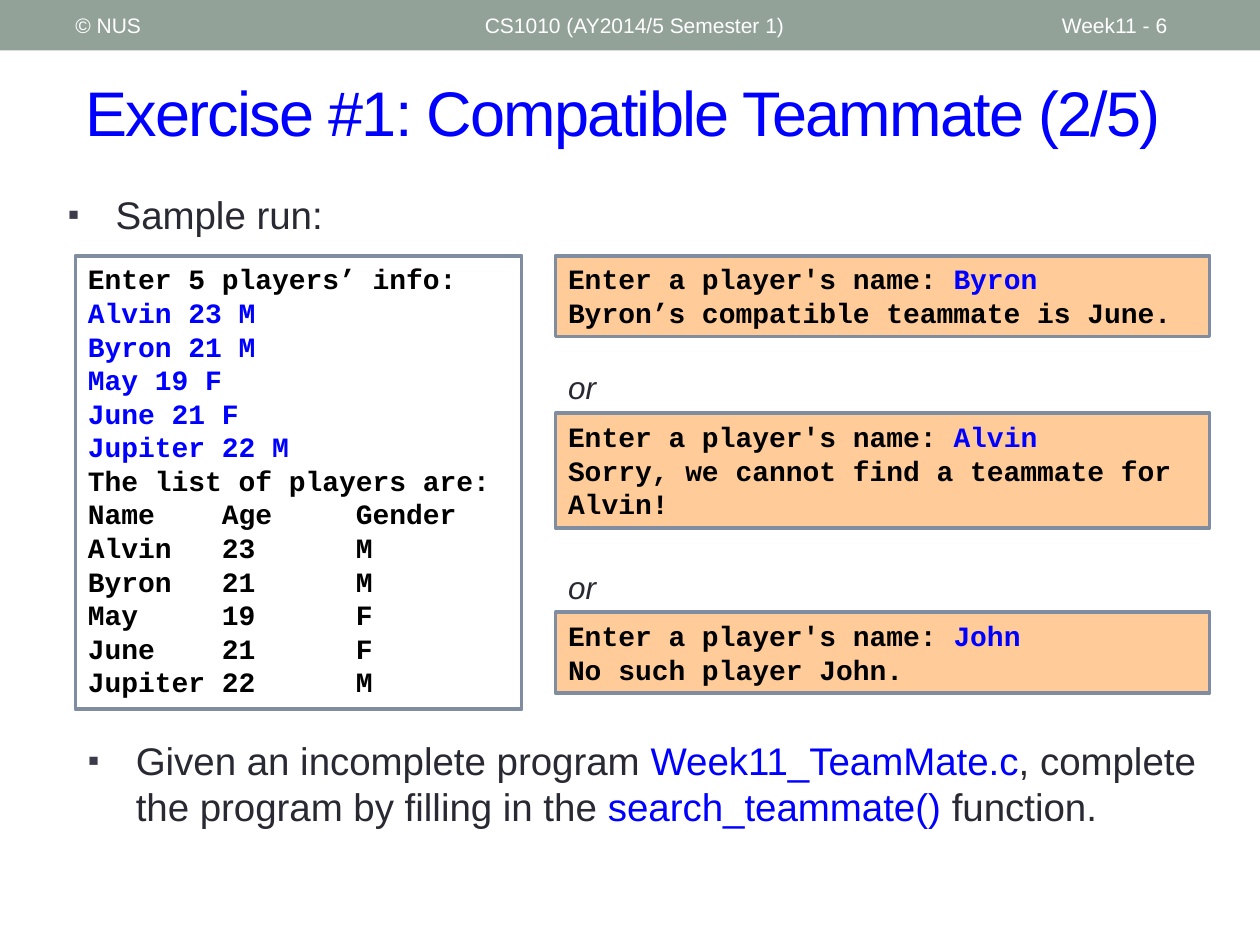
from lxml.etree import SubElement
from pptx import Presentation
from pptx.dml.color import RGBColor
from pptx.enum.shapes import MSO_SHAPE as Kind
from pptx.enum.text import MSO_ANCHOR as Anchor, MSO_AUTO_SIZE as Fit
from pptx.oxml.ns import qn
from pptx.util import Inches, Pt

INK, BLUE, BLACK, WHITE = "292934", "0000FF", "000000", "FFFFFF"
PEACH, EDGE, SAGE, SLATE = "FFCC99", "808DA0", "93A299", "3B3B4B"


def tint(code):
    return RGBColor.from_string(code)


class Deck:
    """Holds the style and the current slide, and draws each kind of element."""

    sans, mono = "Arial", "Courier New"

    def __init__(self):
        self.prs = Presentation()
        self.prs.slide_width, self.prs.slide_height = Inches(10), Inches(7.5)
        self.slide = self.prs.slides.add_slide(self.prs.slide_layouts[6])

    def bar(self, high, fill):
        shape = self.slide.shapes.add_shape(
            Kind.RECTANGLE, 0, 0, self.prs.slide_width, Inches(high))
        shape.shadow.inherit = False
        shape.fill.solid()
        shape.fill.fore_color.rgb = tint(fill)
        shape.line.fill.background()

    def text(self, at, lines, size, font=sans, bold=False, slant=False):
        box = self.slide.shapes.add_textbox(*map(Inches, at))
        frame = box.text_frame
        frame.word_wrap = True
        for i, runs in enumerate(lines):
            para = frame.add_paragraph() if i else frame.paragraphs[0]
            for words, hue in runs:
                run = para.add_run()
                run.text = words
                run.font.color.rgb = tint(hue)
            face = para.font
            face.name, face.size = font, Pt(size)
            face.bold, face.italic = bold, slant
        return box

    def label(self, at, words, size, hue):
        box = self.text(at, [[(words, hue)]], size)
        box.text_frame.vertical_anchor = Anchor.MIDDLE
        return box

    def title(self, at, words):
        box = self.label(at, words, 36, BLUE)
        run = box.text_frame.paragraphs[0].runs[0]
        run.font._element.set("spc", "-100")

    def bullet(self, at, runs):
        box = self.text(at, [runs], 22)
        props = box.text_frame.paragraphs[0]._p.get_or_add_pPr()
        props.set("marL", str(Inches(0.38)))
        props.set("indent", str(Inches(-0.38)))
        marks = [("buClr", {}), ("buSzPct", {"val": "85000"}),
                 ("buFont", {"typeface": self.sans}), ("buChar", {"char": "▪"})]
        for i, (tag, attrs) in enumerate(marks):
            mark = SubElement(props, qn("a:" + tag), attrs)
            props.insert(i, mark)
            if tag == "buClr":
                SubElement(mark, qn("a:srgbClr"), val=SLATE)

    def screen(self, at, lines, fill):
        box = self.text(at, lines, 16, self.mono, bold=True)
        box.text_frame.auto_size = Fit.SHAPE_TO_FIT_TEXT
        box.fill.solid()
        box.fill.fore_color.rgb = tint(fill)
        box.line.color.rgb = tint(EDGE)
        box.line.width = Pt(2.08)


def main():
    deck = Deck()
    deck.bar(0.4, SAGE)
    deck.title((0.58, 0.42, 9.17, 0.92), "Exercise #1: Compatible Teammate (2/5)")
    for left, wide, words in [(3.75, 4.5, "CS1010 (AY2014/5 Semester 1)"),
                              (8.33, 1.17, "Week11 - 6"),
                              (0.5, 3.17, "© NUS")]:
        deck.label((left, 0.02, wide, 0.36), words, 12, WHITE)

    deck.bullet((0.44, 1.47, 9, 0.56), [("Sample run:", INK)])
    deck.bullet((0.6, 5.8, 9, 1.21), [
        ("Given an incomplete program ", INK),
        ("Week11_TeamMate.c", BLUE),
        (", complete the program by filling in the ", INK),
        ("search_teammate() ", BLUE),
        ("function.", INK)])

    team = [("Alvin", 23, "M"), ("Byron", 21, "M"), ("May", 19, "F"),
            ("June", 21, "F"), ("Jupiter", 22, "M")]
    typed = [[(f"{name} {age} {sex}", BLUE)] for name, age, sex in team]
    table = [[(f"{name:<8}{age:<8}{sex}", BLACK)]
             for name, age, sex in [("Name", "Age", "Gender")] + team]
    deck.screen((0.6, 2.03, 3.54, 3.6), [
        [("Enter 5 players’ info:", BLACK)], *typed,
        [("The list of players are:", BLACK)], *table], WHITE)

    for top, high, name, reply in [
            (2.03, 0.64, "Byron", "Byron’s compatible teammate is June."),
            (3.28, 0.91, "Alvin", "Sorry, we cannot find a teammate for Alvin!"),
            (4.86, 0.64, "John", "No such player John.")]:
        deck.screen((4.41, top, 5.19, high), [
            [("Enter a player's name: ", BLACK), (name, BLUE)],
            [(reply, BLACK)]], PEACH)
    for top in (2.87, 4.46):
        deck.text((4.41, top, 0.81, 0.4), [[("or", INK)]], 18, slant=True)

    deck.prs.save("out.pptx")


if __name__ == "__main__":
    main()
